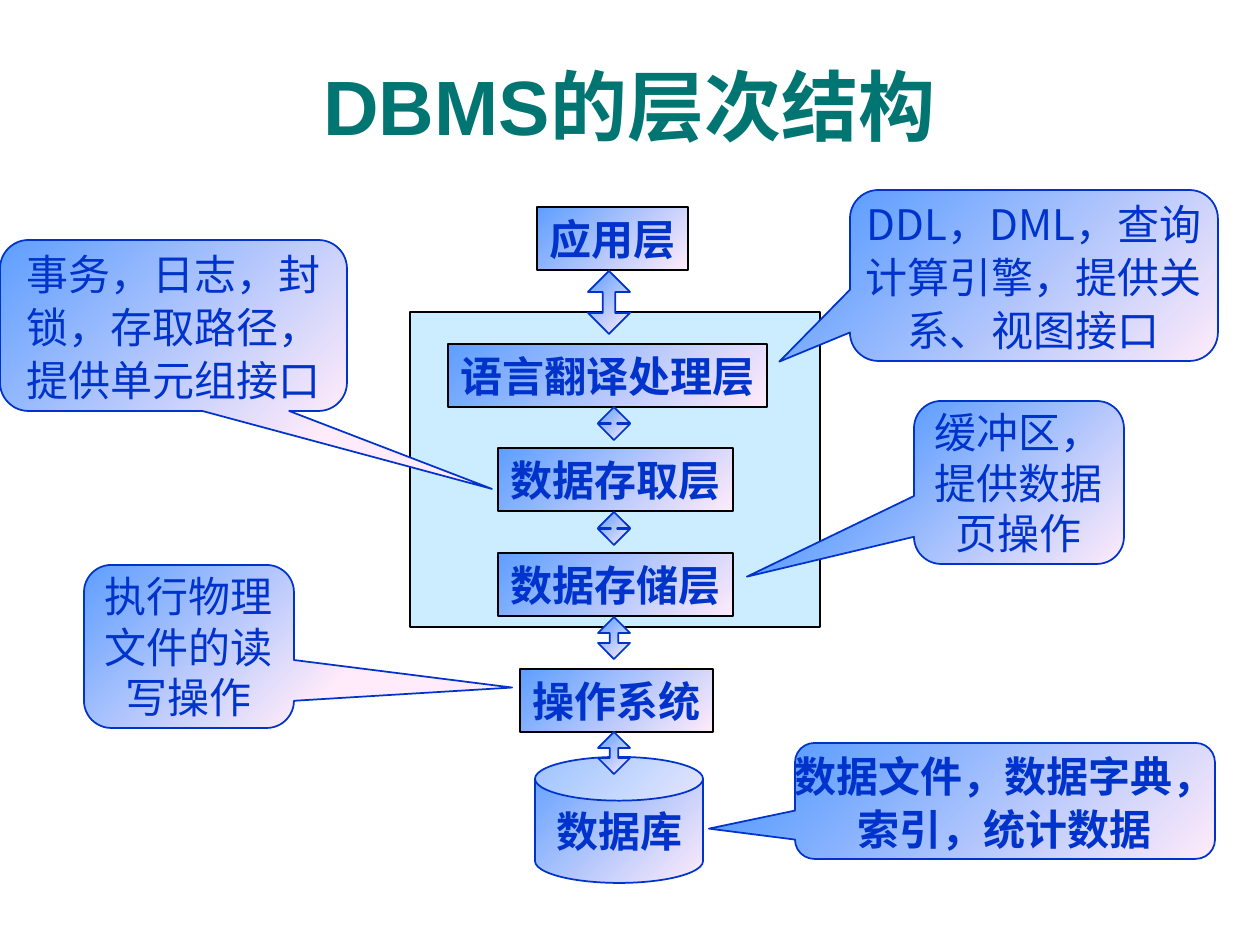
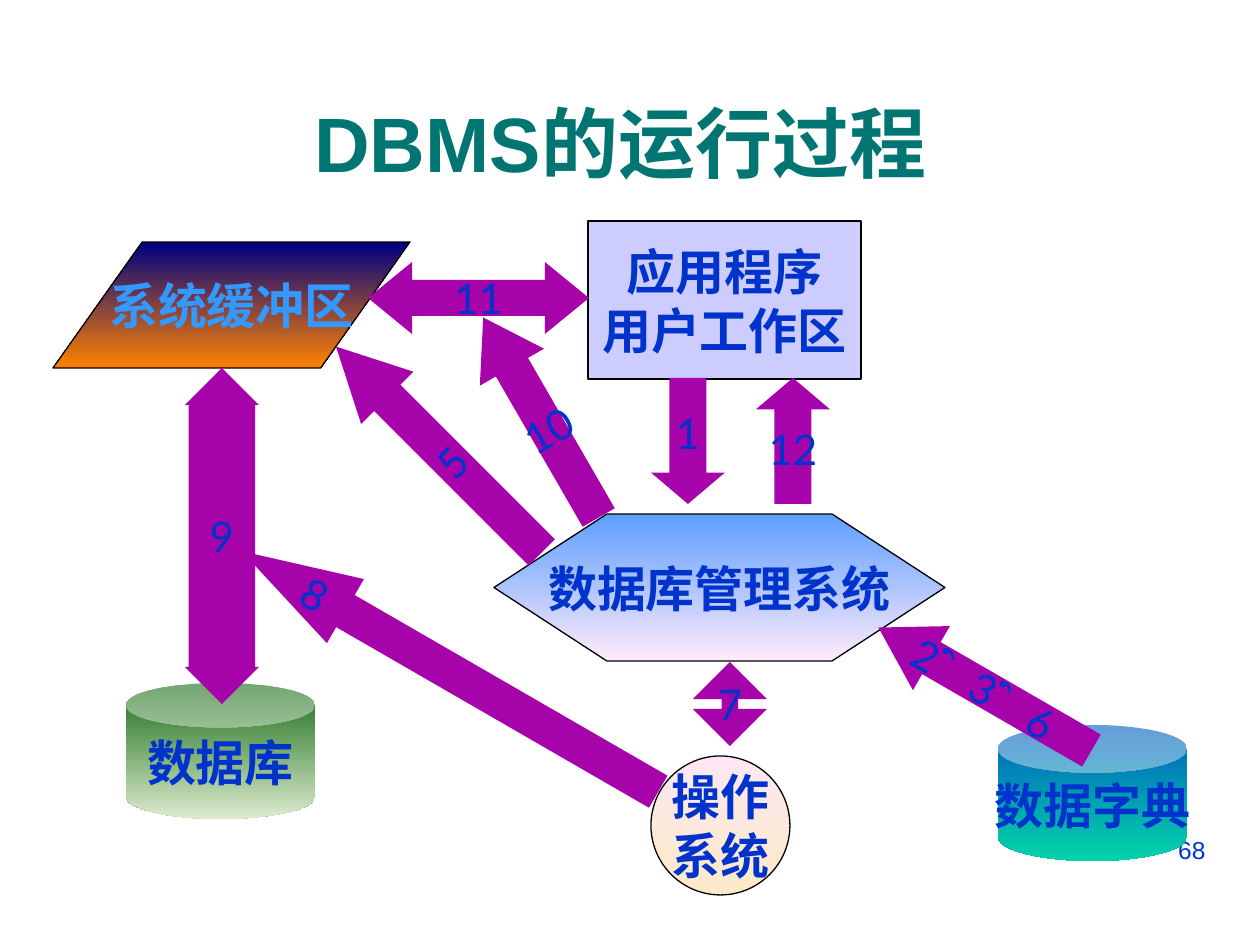
from lxml.etree import SubElement
from pptx import Presentation
from pptx.dml.color import RGBColor
from pptx.enum.shapes import MSO_SHAPE as SHAPE
from pptx.enum.text import MSO_ANCHOR as ANCHOR, PP_ALIGN as ALIGN
from pptx.oxml.ns import qn
from pptx.util import Emu, Pt

BLUE, BLACK, TEAL, PURPLE = "0033CC", "000000", "007572", "A603AB"
SKY = ("5E9EFF", "FFEBFA")
CJK = "Noto Sans CJK SC"


def px(n):
    return Emu(round(n * 914400 / 126))


def rgb(code):
    return RGBColor.from_string(code)


class Deck:
    """Draws the diagrams in one style on the current slide."""

    def __init__(self):
        self.prs = Presentation()
        self.prs.slide_width, self.prs.slide_height = px(1260), px(945)

    def slide(self, title, title_box, number):
        self.s = self.prs.slides.add_slide(self.prs.slide_layouts[6])
        self.textbox(903, 829, 315, 66, str(number), 14, align=ALIGN.RIGHT)
        self.textbox(*title_box, title, 44, TEAL, True, anchor=ANCHOR.MIDDLE)

    def textbox(self, x, y, w, h, text, size, color=BLUE, bold=False,
                align=ALIGN.CENTER, anchor=ANCHOR.TOP):
        sp = self.s.shapes.add_textbox(px(x), px(y), px(w), px(h))
        self.label(sp.text_frame, text, "Arial", size, color, bold, align, anchor)
        sp.text_frame.word_wrap = True

    def label(self, tf, text, font, size, color=BLUE, bold=False,
              align=ALIGN.CENTER, anchor=ANCHOR.MIDDLE, spacing=None):
        tf.text = text
        tf.vertical_anchor = anchor
        for p in tf.paragraphs:
            p.alignment = align
            if spacing:
                p.line_spacing = spacing
            p.font.name, p.font.size, p.font.bold = font, Pt(size), bold
            p.font.color.rgb = rgb(color)
            SubElement(p._p.pPr.find(qn("a:defRPr")), qn("a:ea"), typeface=CJK)

    def shape(self, kind, x, y, w, h, fill=SKY, angle=45, line=BLACK, width=0.75,
              adj=()):
        sp = self.s.shapes.add_shape(kind, px(x), px(y), px(w), px(h))
        sp.shadow.inherit = False
        for i, value in enumerate(adj):
            sp.adjustments[i] = value
        if isinstance(fill, tuple):
            sp.fill.gradient()
            sp.fill.gradient_angle = 360 - angle
            for stop, code in zip(sp.fill.gradient_stops, fill):
                stop.color.rgb = rgb(code)
        else:
            sp.fill.solid()
            sp.fill.fore_color.rgb = rgb(fill)
        if line:
            sp.line.color.rgb = rgb(line)
            sp.line.width = Pt(width)
        else:
            sp.line.fill.background()
        sp.text_frame.word_wrap = False
        return sp

    def layer(self, x, y, w, text):
        sp = self.shape(SHAPE.RECTANGLE, x, y, w, 63)
        self.label(sp.text_frame, text, "Times New Roman", 24, bold=True)

    def link(self, x, y, w, h, head):
        self.shape(SHAPE.UP_DOWN_ARROW, x, y, w, h, line=BLUE, width=1, adj=(0.5, head))

    def callout(self, x, y, w, h, tip, text, font="Times New Roman", spacing=None,
                bold=False):
        sp = self.shape(SHAPE.ROUNDED_RECTANGULAR_CALLOUT, x, y, w, h, line=BLUE,
                        width=1, adj=(*tip, 0.167))
        tf = sp.text_frame
        self.label(tf, text, font, 24, bold=bold, spacing=spacing)
        if not bold:
            tf.word_wrap = True
            tf.margin_left = tf.margin_right = tf.margin_top = tf.margin_bottom = 0

    def node(self, kind, x, y, w, h, fill, text, color=BLUE, line=BLACK, adj=()):
        sp = self.shape(kind, x, y, w, h, fill, 90, line, adj=adj)
        self.label(sp.text_frame, text, "Lato", 28, color, True)

    def step(self, kind, x, y, w, h, head, text, rotation=0, vertical=False):
        sp = self.shape(kind, x, y, w, h, PURPLE, line=None, adj=(0.5, head))
        sp.rotation = rotation
        tf = sp.text_frame
        self.label(tf, text, "Lato", 24)
        if vertical:
            tf.margin_left = tf.margin_right = Pt(3.6)
            tf.margin_top = tf.margin_bottom = Pt(7.2)
            sp.element.txBody.find(qn("a:bodyPr")).set("vert", "eaVert")


def layers_slide(deck):
    deck.slide("DBMS的层次结构", (94, 42, 1071, 126), 67)
    deck.shape(SHAPE.RECTANGLE, 410, 312, 410, 315, "CCECFF")
    for x, y, w, text in [
        (520, 669, 193, "操作系统"),
        (498, 553, 235, "数据存储层"),
        (498, 448, 235, "数据存取层"),
        (448, 344, 319, "语言翻译处理层"),
        (537, 207, 151, "应用层"),
    ]:
        deck.layer(x, y, w, text)
    database = deck.shape(SHAPE.CAN, 535, 757, 168, 126, line=BLUE, width=1, adj=(0.347,))
    deck.label(database.text_frame, "数据库", "Times New Roman", 24, bold=True)
    for y, h, head in [(407, 33, 0.2), (512, 33, 0.2), (617, 42, 0.27), (732, 42, 0.27)]:
        deck.link(598, y, 32, h, head)
    deck.link(588, 271, 42, 63, 0.3)
    deck.callout(795, 743, 420, 116, (-0.705, 0.239),
                 "数据文件，数据字典，\n索引，统计数据", spacing=1.05, bold=True)
    deck.callout(914, 401, 210, 163, (-1.296, 0.578), "缓冲区，提供数据页操作")
    deck.callout(850, 190, 368, 171, (-0.692, 0.504),
                 "DDL，DML，查询计算引擎，提供关系、视图接口", CJK, 1.05)
    deck.callout(0, 240, 347, 171, (0.918, 0.956),
                 "事务，日志，封锁，存取路径，提供单元组接口", spacing=1.05)
    deck.callout(84, 565, 210, 163, (1.539, 0.252), "执行物理文件的读写操作")


def process_slide(deck):
    deck.slide("DBMS的运行过程", (32, 63, 1177, 158), 68)
    deck.node(SHAPE.PARALLELOGRAM, 53, 242, 357, 126, ("000082", "FF8200"),
              "系统缓冲区", "3399FF", adj=(0.708,))
    deck.node(SHAPE.RECTANGLE, 588, 221, 273, 158, "CCCCFF", "应用程序\n用户工作区")
    deck.node(SHAPE.HEXAGON, 494, 514, 451, 147, SKY, "数据库管理系统", adj=(0.768,))
    deck.node(SHAPE.CAN, 998, 725, 189, 136, ("005CBF", "03D4A8"), "数据字典",
              line=None, adj=(0.351,))
    deck.node(SHAPE.CAN, 126, 683, 189, 136, ("156B13", "DDEBCF"), "数据库",
              line=None, adj=(0.327,))
    deck.node(SHAPE.OVAL, 651, 756, 139, 139, ("FEE7F2", "FBEAC7"), "操作\n系统")
    deck.step(SHAPE.LEFT_RIGHT_ARROW, 368, 262, 221, 72, 0.612, "11")
    for kind, x, y, h, head, text, *turn in [
        (SHAPE.UP_DOWN_ARROW, 185, 368, 336, 0.9, "9"),
        (SHAPE.UP_ARROW, 756, 378, 126, 0.424, "12"),
        (SHAPE.DOWN_ARROW, 651, 378, 126, 0.424, "1"),
        (SHAPE.UP_DOWN_ARROW, 693, 662, 84, 0.225, "7"),
        (SHAPE.UP_ARROW, 504, 302, 231, 0.776, "10", 330),
        (SHAPE.UP_ARROW, 402, 304, 291, 0.98, "5", 315),
        (SHAPE.UP_ARROW, 413, 431, 481, 1.618, "8", 300, True),
        (SHAPE.UP_ARROW, 948, 566, 246, 0.827, "2，3，6", 300, True),
    ]:
        deck.step(kind, x, y, 74, h, head, text, *turn)


def main():
    deck = Deck()
    layers_slide(deck)
    process_slide(deck)
    deck.prs.save("out.pptx")


if __name__ == "__main__":
    main()
